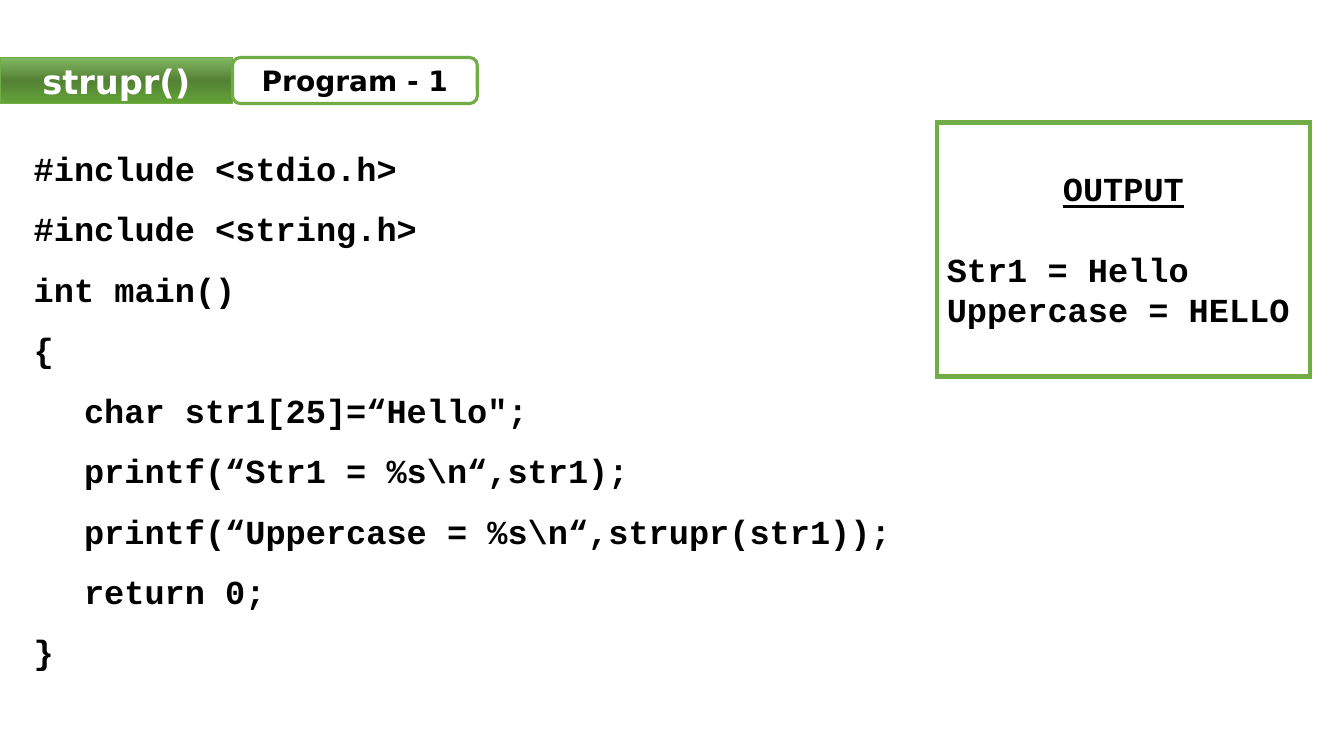
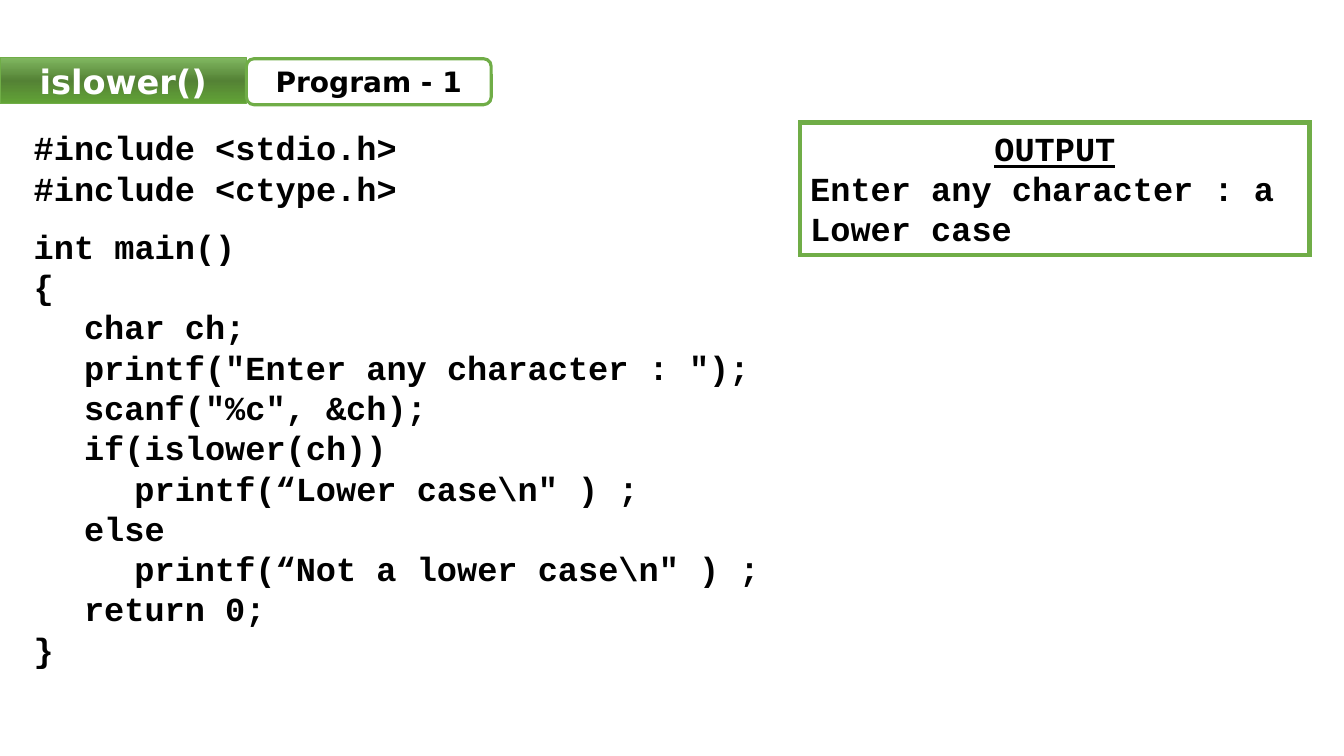
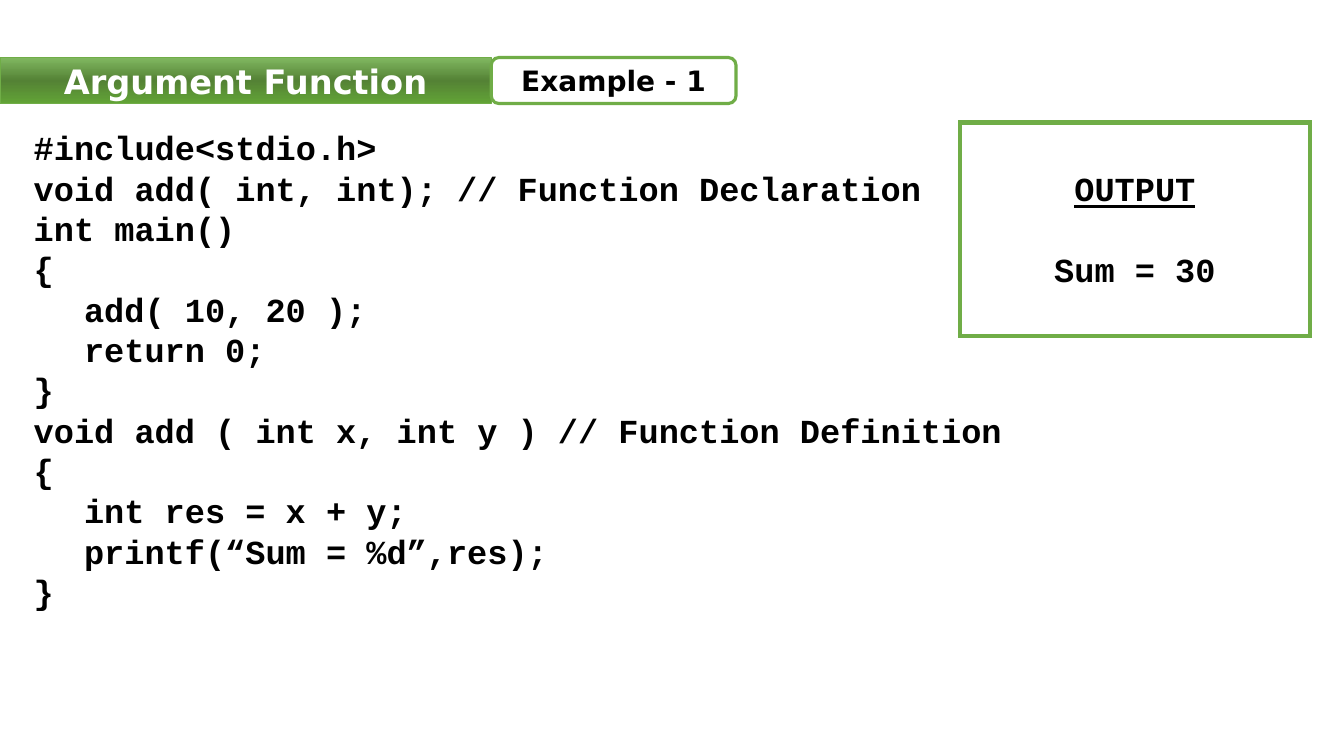
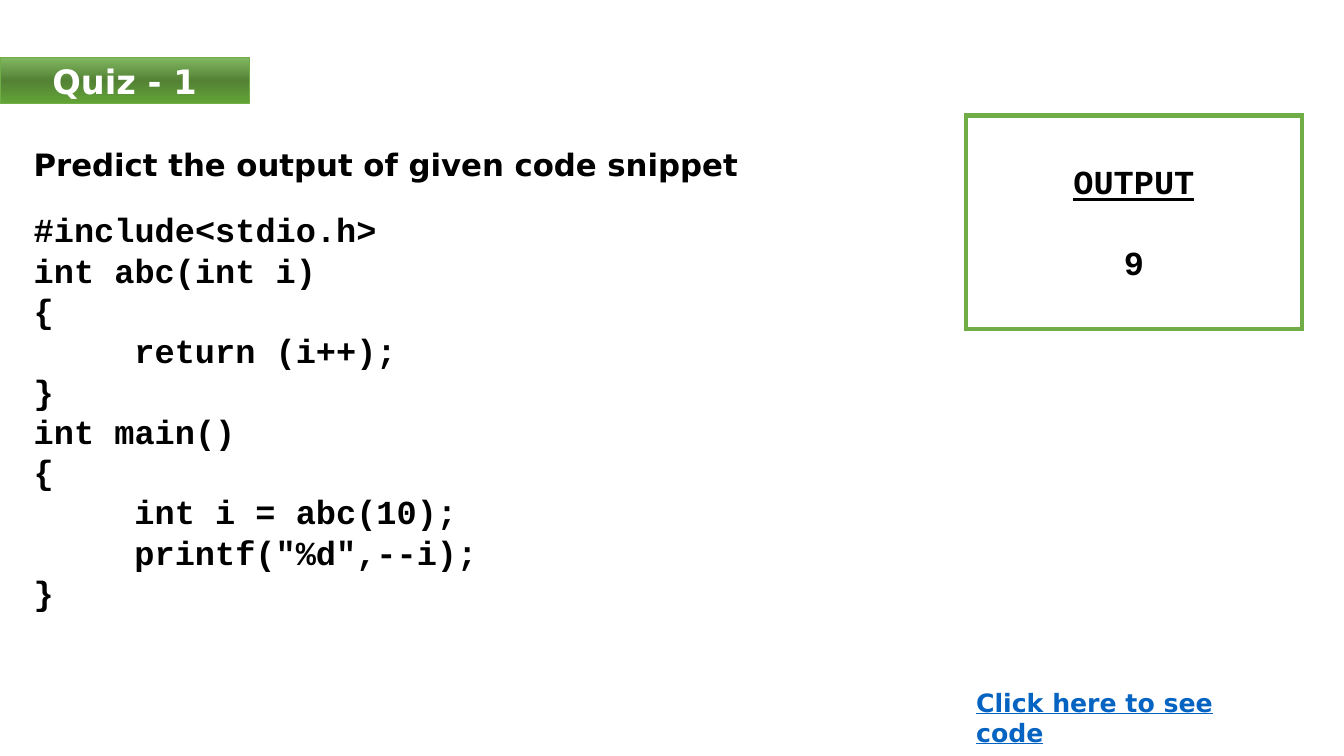
"""Build four slides of C code, each with a title band and an output box."""
from copy import deepcopy

from lxml import etree
from pptx import Presentation
from pptx import util as u
from pptx.dml import color
from pptx.enum import shapes, text
from pptx.oxml import ns

COLOURS = {
    "accent": "70AD47", "band_top": "81B861", "band_middle": "548235",
    "band_bottom": "62A336", "white": "FFFFFF", "black": "000000", "link": "0563C1",
}
CODE_FONT, LABEL_FONT = "Courier New", "DejaVu Sans"
BAND_TOP, BAND_HEIGHT, BADGE_WIDTH = 1.45, 1.16, 6.17
CODE_LEFT, CODE_TOP = 0.6, 2.67
INDENT = 1.27
BLANK_LINE = 29
LINK = ("Click here to see code", (24.35, 17.19, 8.38, 1.02))

SLIDES = [
    {
        "title": "strupr()", "band_width": 5.86, "badge": "Program - 1",
        "code": [
            "#include <stdio.h>",
            "#include <string.h>",
            "int main()",
            "{",
            "\tchar str1[25]=“Hello\";",
            "\tprintf(“Str1 = %s\\n“,str1);",
            "\tprintf(“Uppercase = %s\\n“,strupr(str1));",
            "\treturn 0;",
            "}",
        ],
        "code_size": (32.59, 14.76), "spacing": 1.5,
        "output": ["Str1 = Hello", "Uppercase = HELLO"],
        "output_box": (23.61, 3.09, 9.4, 6.4),
    },
    {
        "title": "islower()", "band_width": 6.21, "badge": "Program - 1",
        "badge_top": 1.48,
        "code": [
            "#include <stdio.h>",
            "#include <ctype.h>",
            "int main()",
            "{",
            "\tchar ch;",
            "\tprintf(\"Enter any character : \");",
            "\tscanf(\"%c\", &ch);",
            "\tif(islower(ch))",
            "\t\tprintf(“Lower case\\n\" ) ;",
            "\telse",
            "\t\tprintf(“Not a lower case\\n\" ) ;",
            "\treturn 0;",
            "}",
        ],
        "code_size": (32.59, 14.45), "gaps": {2: 12.5},
        "output": ["Enter any character : a", "Lower case"],
        "output_box": (20.17, 3.09, 12.83, 3.33), "compact": True,
    },
    {
        "title": "Argument Function", "band_width": 12.38, "badge": "Example - 1",
        "code": [
            "#include<stdio.h>",
            "void add( int, int); // Function Declaration",
            "int main()",
            "{",
            "\tadd( 10, 20 );",
            "\treturn 0;",
            "}",
            "void add ( int x, int y ) // Function Definition",
            "{",
            "\tint res = x + y;",
            "\tprintf(“Sum = %d”,res);",
            "}",
        ],
        "code_size": (25.48, 13.21),
        "output": ["Sum = 30"], "output_centred": True,
        "output_box": (24.19, 3.09, 8.82, 5.38),
    },
    {
        "title": "Quiz - 1", "band_width": 6.28,
        "question": "Predict the output of given code snippet",
        "code": [
            "#include<stdio.h>",
            "int abc(int i)",
            "{",
            "\t\treturn (i++);",
            "}",
            "int main()",
            "{",
            "\t\tint i = abc(10);",
            "\t\tprintf(\"%d\",--i);",
            "}",
        ],
        "code_size": (32.59, 13), "code_inset": 1.01, "gaps": {0: 18.7},
        "output": ["9"], "output_centred": True,
        "output_box": (24.34, 2.91, 8.47, 5.38),
        "link": LINK,
    },
]


def rgb(name):
    """Return the named colour."""
    return color.RGBColor.from_string(COLOURS[name])


def write(shape, content, font=CODE_FONT, size=24, colour="black", underline=False,
          centred=False, level=0, before=0, spacing=1.0):
    """Add one formatted paragraph to a shape."""
    frame = shape.text_frame
    paragraph = frame.add_paragraph() if frame.text else frame.paragraphs[0]
    paragraph.alignment = text.PP_ALIGN.CENTER if centred else text.PP_ALIGN.LEFT
    paragraph.line_spacing = spacing
    paragraph.space_before = u.Pt(before)
    if level:
        properties = paragraph._p.get_or_add_pPr()
        properties.set("marL", str(u.Cm(INDENT * level)))
        properties.set("indent", "0")
    run = paragraph.add_run()
    run.text = content
    run.font.name, run.font.size, run.font.bold = font, u.Pt(size), True
    run.font.underline = underline
    run.font.color.rgb = rgb(colour)


def set_frame(shape, anchor=text.MSO_ANCHOR.TOP, top=0.13):
    """Set wrapping, anchor and insets of a shape's text."""
    frame = shape.text_frame
    frame.word_wrap = True
    frame.auto_size = text.MSO_AUTO_SIZE.NONE
    frame.vertical_anchor = anchor
    frame.margin_left = frame.margin_right = u.Cm(0.25)
    frame.margin_top, frame.margin_bottom = u.Cm(top), u.Cm(0.13)


def add_box(slide, kind, box, line_width):
    """Add a white shape with a mitred accent outline."""
    shape = slide.shapes.add_shape(kind, *map(u.Cm, box))
    shape.shadow.inherit = False
    shape.fill.solid()
    shape.fill.fore_color.rgb = rgb("white")
    shape.line.color.rgb = rgb("accent")
    shape.line.width = u.Pt(line_width)
    outline = shape._element.spPr.find(ns.qn("a:ln"))
    etree.SubElement(outline, ns.qn("a:miter")).set("lim", "800000")
    return shape


def add_text(slide, box, top=0.13):
    """Add an empty wrapping text box."""
    shape = slide.shapes.add_textbox(*map(u.Cm, box))
    set_frame(shape, top=top)
    return shape


def format_title(slide, title, width):
    """Turn the title placeholder into the gradient band."""
    band = slide.shapes.title
    band.left, band.top = u.Cm(0), u.Cm(BAND_TOP)
    band.width, band.height = u.Cm(width), u.Cm(BAND_HEIGHT)
    band.fill.gradient()
    band.fill.gradient_angle = 270
    stop_list = band._element.spPr.find(".//" + ns.qn("a:gsLst"))
    stop_list.append(deepcopy(stop_list[0]))
    names = ("band_top", "band_middle", "band_bottom")
    for index, (stop, name) in enumerate(zip(band.fill.gradient_stops, names)):
        stop.position = index / 2
        stop.color.rgb = rgb(name)
    band.line.color.rgb = rgb("accent")
    band.line.width = u.Pt(0.5)
    set_frame(band, text.MSO_ANCHOR.MIDDLE)
    write(band, title, font=LABEL_FONT, colour="white", centred=True)


def add_badge(slide, label, left, top):
    """Add the rounded label beside the title band."""
    badge = add_box(slide, shapes.MSO_SHAPE.ROUNDED_RECTANGLE,
                    (left, top, BADGE_WIDTH, BAND_HEIGHT), 2.25)
    set_frame(badge, text.MSO_ANCHOR.MIDDLE)
    write(badge, label, font=LABEL_FONT, size=20, centred=True)


def add_code(slide, data):
    """Add the program, one paragraph a line, after an optional question."""
    listing = add_text(slide, (CODE_LEFT, CODE_TOP, *data["code_size"]),
                       data.get("code_inset", 0.54))
    if "question" in data:
        write(listing, data["question"], font=LABEL_FONT, size=22)
    for index, line in enumerate(data["code"]):
        code = line.lstrip("\t")
        write(listing, code, level=len(line) - len(code),
              before=data.get("gaps", {}).get(index, 0), spacing=data.get("spacing", 1.0))


def add_output(slide, data):
    """Add the framed program output."""
    compact = data.get("compact", False)
    output = add_box(slide, shapes.MSO_SHAPE.RECTANGLE, data["output_box"], 3)
    set_frame(output, top=0.13 if compact else 1.14)
    write(output, "OUTPUT", underline=True, centred=True)
    for index, line in enumerate(data["output"]):
        write(output, line, centred=data.get("output_centred", False),
              before=0 if compact or index else BLANK_LINE)


def main():
    """Build and save the presentation."""
    presentation = Presentation()
    presentation.slide_width, presentation.slide_height = u.Cm(33.87), u.Cm(19.05)
    for data in SLIDES:
        slide = presentation.slides.add_slide(presentation.slide_layouts[5])
        format_title(slide, data["title"], data["band_width"])
        if "badge" in data:
            add_badge(slide, data["badge"], data["band_width"], data.get("badge_top", BAND_TOP))
        add_code(slide, data)
        add_output(slide, data)
        if "link" in data:
            label, box = data["link"]
            write(add_text(slide, box), label, font=LABEL_FONT, size=18,
                  colour="link", underline=True)
    presentation.save("out.pptx")


if __name__ == "__main__":
    main()
